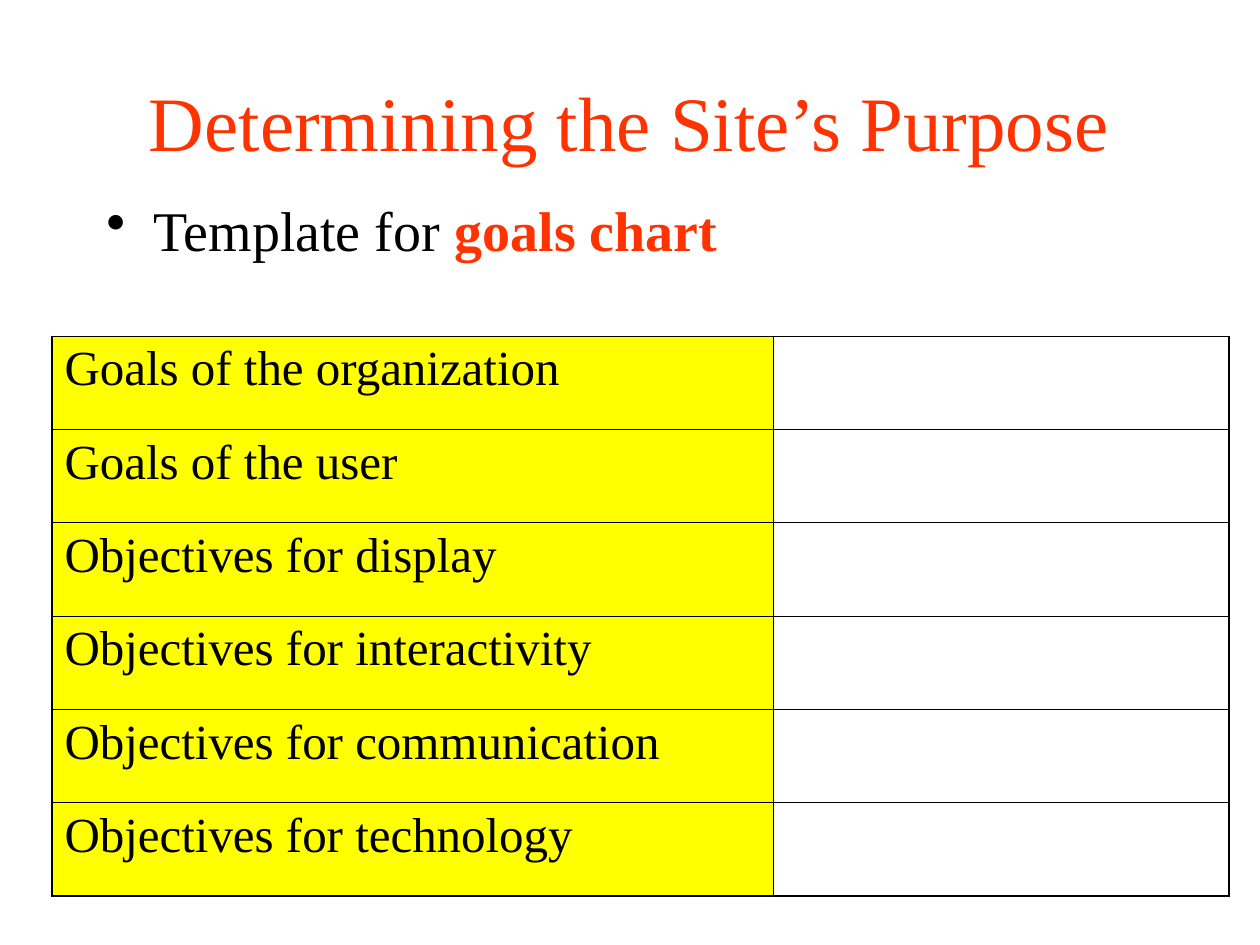
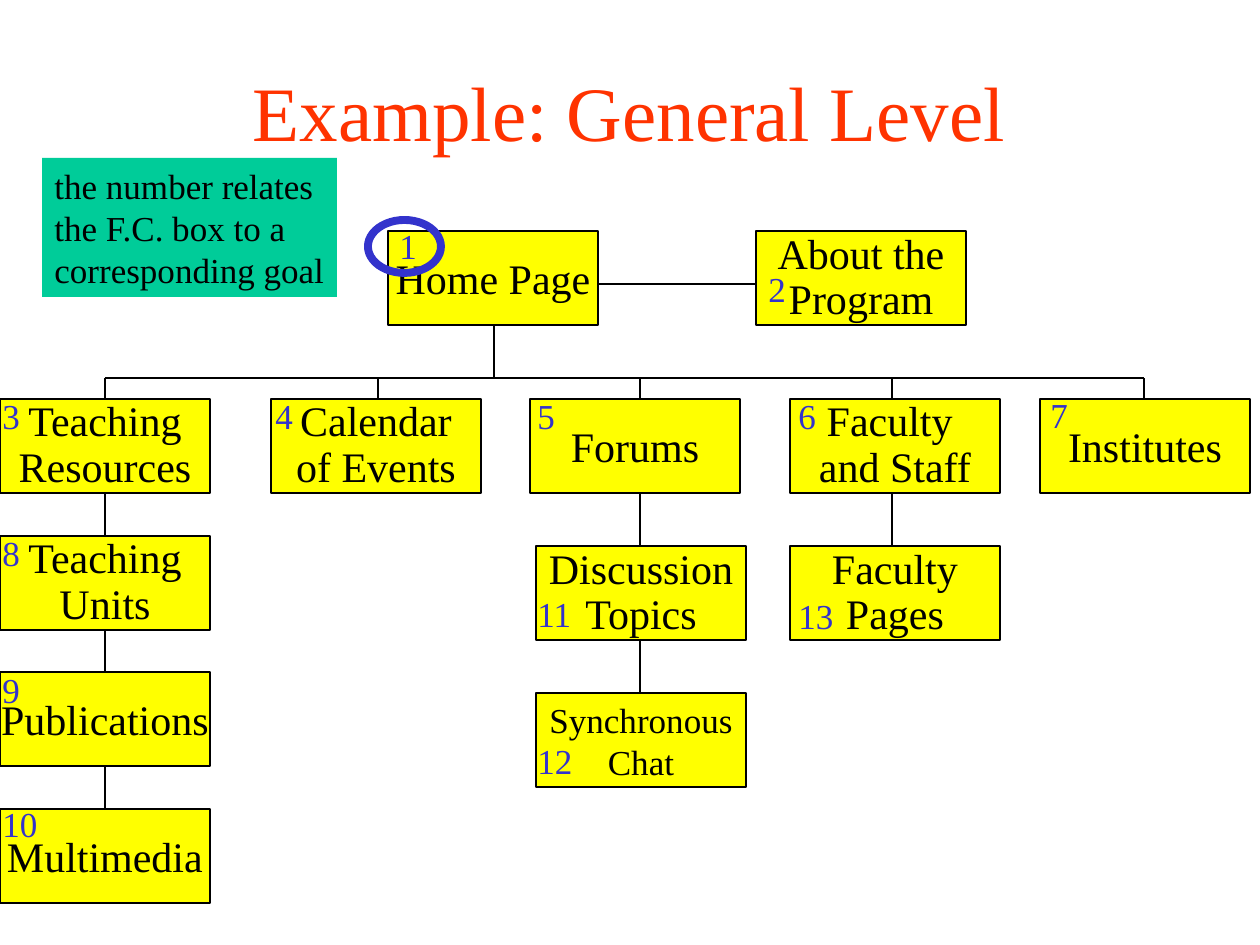
from lxml.etree import SubElement
from pptx import Presentation
from pptx.dml.color import RGBColor
from pptx.enum.shapes import MSO_CONNECTOR, MSO_SHAPE
from pptx.enum.text import MSO_ANCHOR, PP_ALIGN
from pptx.oxml.ns import qn
from pptx.util import Emu, Pt

FONT = "Times New Roman"
BLACK = RGBColor(0x00, 0x00, 0x00)
RED = RGBColor(0xFF, 0x33, 0x00)
YELLOW = RGBColor(0xFF, 0xFF, 0x00)
BLUE = RGBColor(0x33, 0x33, 0xCC)
GREEN = RGBColor(0x00, 0xCC, 0x99)
PIXELS_PER_INCH = 126


def px(*lengths):
    """Turn pixel lengths into a list of EMU lengths."""
    return [Emu(round(length * 914400 / PIXELS_PER_INCH)) for length in lengths]


def write(frame, lines, size, color=BLACK, align=PP_ALIGN.LEFT,
          anchor=MSO_ANCHOR.TOP, wrap=False, spacing=1.0):
    """Fill a text frame; each line is a list of (text, color, bold) or a string."""
    frame.word_wrap = wrap
    frame.vertical_anchor = anchor
    for index, line in enumerate(lines):
        paragraph = frame.add_paragraph() if index else frame.paragraphs[0]
        paragraph.alignment = align
        paragraph.line_spacing = spacing
        for text, run_color, bold in [(line, color, False)] if isinstance(line, str) else line:
            run = paragraph.add_run()
            run.text = text
            run.font.name = FONT
            run.font.size = Pt(size)
            run.font.bold = bold
            run.font.color.rgb = run_color


prs = Presentation()
prs.slide_width, prs.slide_height = px(1260, 945)

# Both slides and their titles
slides = []
for heading, top in [("Determining the Site’s Purpose", 42), ("Example: General Level", 32)]:
    slide = prs.slides.add_slide(prs.slide_layouts[6])
    title = slide.shapes.add_textbox(*px(94, top, 1071, 158))
    write(title.text_frame, [heading], 44, RED, PP_ALIGN.CENTER, MSO_ANCHOR.MIDDLE, wrap=True)
    slides.append(slide)
goals_slide, chart_slide = slides

# Slide 1: bullet line
intro = goals_slide.shapes.add_textbox(*px(94, 189, 1071, 567)).text_frame
write(intro, [[("Template for ", BLACK, False), ("goals chart", RED, True)]], 32, wrap=True)
intro.paragraphs[0].space_before = Pt(8)
bullet = intro.paragraphs[0]._p.get_or_add_pPr()
hanging = px(47)[0]
bullet.set("marL", str(hanging))
bullet.set("indent", str(-hanging))
bullet_color = SubElement(bullet, qn("a:buClr"))
SubElement(bullet_color, qn("a:srgbClr"), val=str(BLACK))
SubElement(bullet, qn("a:buChar"), char="•")

# Slide 1: goals table
goals = [
    "Goals of the organization",
    "Goals of the user",
    "Objectives for display",
    "Objectives for interactivity",
    "Objectives for communication",
    "Objectives for technology",
]
goals_table = goals_slide.shapes.add_table(len(goals), 2, *px(52, 336, 1177, 560)).table
goals_table.first_row = False
goals_table.horz_banding = False
for column, width in zip(goals_table.columns, px(721, 456)):
    column.width = width
THIN, THICK = Pt(0.45), Pt(1.08)
for row, goal in enumerate(goals):
    for col in range(2):
        cell = goals_table.cell(row, col)
        borders = {
            "a:lnL": THIN if col else THICK,
            "a:lnR": THICK if col else THIN,
            "a:lnT": THIN,
            "a:lnB": THICK if row == len(goals) - 1 else THIN,
        }
        for side, weight in borders.items():
            border = SubElement(cell._tc.get_or_add_tcPr(), qn(side), w=str(weight))
            border_fill = SubElement(border, qn("a:solidFill"))
            SubElement(border_fill, qn("a:srgbClr"), val=str(BLACK))
        if col:
            cell.fill.background()
        else:
            cell.fill.solid()
            cell.fill.fore_color.rgb = YELLOW
            write(cell.text_frame, [goal], 28, wrap=True)
            cell.text_frame.paragraphs[0].space_before = Pt(7)

# Slide 2: page boxes as (lines, left, top, text size)
BOX_WIDTH, BOX_HEIGHT = 210, 94
pages = [
    (["Teaching", "Resources"], 0, 399, 24),
    (["Forums"], 530, 399, 24),
    (["Calendar", "of Events"], 271, 399, 24),
    (["Faculty ", "and Staff"], 790, 399, 24),
    (["Institutes"], 1040, 399, 24),
    (["Home Page"], 388, 231, 24),
    (["About the", "Program"], 756, 231, 24),
    (["Teaching", "Units"], 0, 536, 24),
    (["Publications"], 0, 672, 24),
    (["Multimedia"], 0, 809, 24),
    (["Discussion", "Topics"], 536, 546, 24),
    (["Synchronous", "Chat"], 536, 693, 20),
    (["Faculty", "Pages"], 790, 546, 24),
]
for lines, left, top, size in pages:
    page = chart_slide.shapes.add_shape(
        MSO_SHAPE.RECTANGLE, *px(left, top, BOX_WIDTH, BOX_HEIGHT))
    page.shadow.inherit = False
    page.fill.solid()
    page.fill.fore_color.rgb = YELLOW
    page.line.color.rgb = BLACK
    page.line.width = Pt(0.74)
    # Two large lines only fit the box without vertical insets and set tighter
    page.text_frame.margin_top = page.text_frame.margin_bottom = 0
    tight = len(lines) == 2 and size == 24
    write(page.text_frame, lines, size, align=PP_ALIGN.CENTER, anchor=MSO_ANCHOR.MIDDLE,
          spacing=0.9 if tight else 1.0)

# Slide 2: links between the pages
BRANCH_Y = 378
branches = [105, 378, 640, 892, 1144]
links = [(599, 284, 756, 284), (branches[0], BRANCH_Y, branches[-1], BRANCH_Y)]
links += [(x, BRANCH_Y, x, 399) for x in branches]
links += [(x, top, x, bottom) for x, top, bottom in [
    (105, 493, 536), (105, 630, 672), (105, 766, 809),
    (640, 493, 546), (640, 640, 693), (892, 493, 546), (494, 325, BRANCH_Y)]]
for ends in links:
    link = chart_slide.shapes.add_connector(MSO_CONNECTOR.STRAIGHT, *px(*ends))
    link.line.color.rgb = BLACK
    link.line.width = Pt(1.5)
    SubElement(link._element.spPr, qn("a:effectLst"))

# Slide 2: goal numbers, counted from 1
number_places = [
    (387, 218), (756, 261), (-10, 388), (263, 388), (525, 388), (786, 388), (1038, 387),
    (-10, 525), (-10, 662), (-10, 796), (525, 586), (525, 733), (786, 588),
]
for number, (left, top) in enumerate(number_places, 1):
    width = 43 if number < 10 else 60
    goal_number = chart_slide.shapes.add_textbox(*px(left, top, width, 55))
    write(goal_number.text_frame, [str(number)], 20, BLUE)

# Slide 2: ring around the first number, and the note that explains it
ring = chart_slide.shapes.add_shape(MSO_SHAPE.OVAL, *px(368, 220, 73, 53))
ring.shadow.inherit = False
ring.fill.background()
ring.line.color.rgb = BLUE
ring.line.width = Pt(4.5)

note = chart_slide.shapes.add_shape(MSO_SHAPE.RECTANGLE, *px(42, 158, 295, 139))
note.shadow.inherit = False
note.fill.solid()
note.fill.fore_color.rgb = GREEN
note.line.fill.background()
write(note.text_frame, ["the number relates", "the F.C. box to a", "corresponding goal"], 20)

prs.save("out.pptx")
